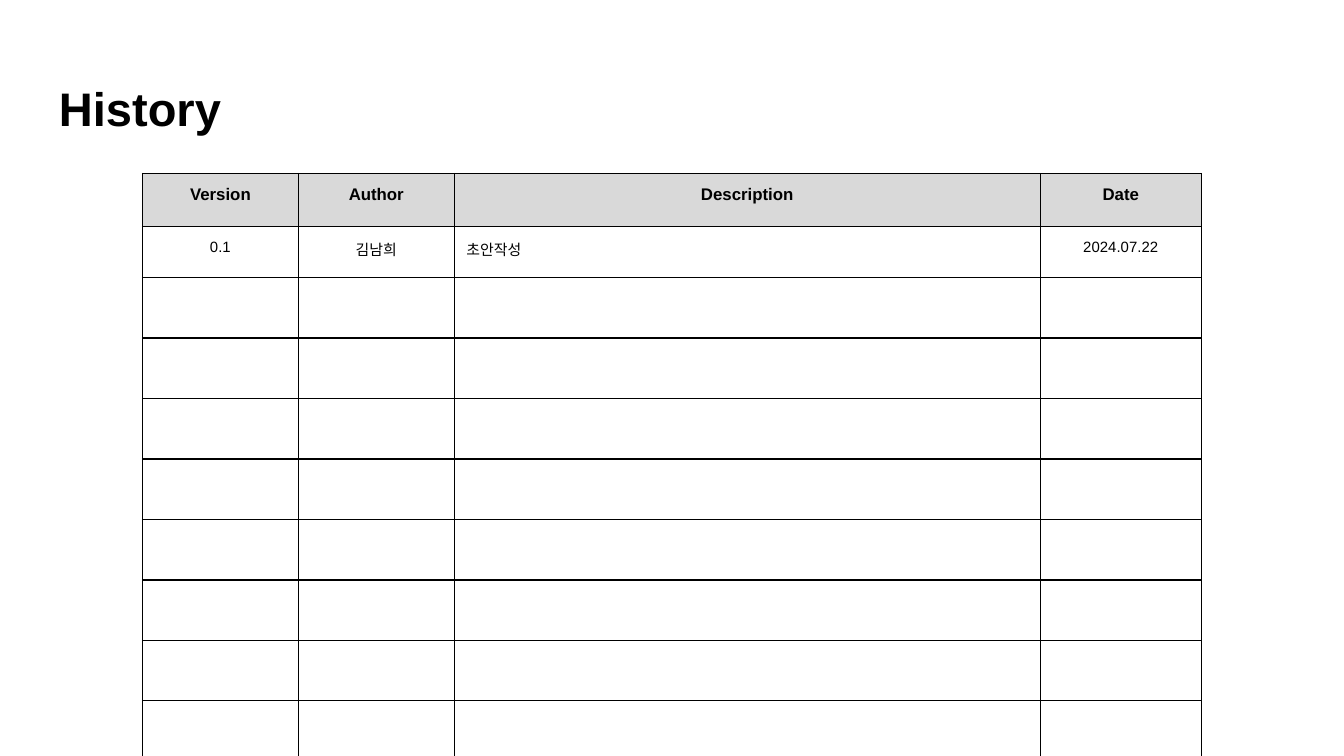
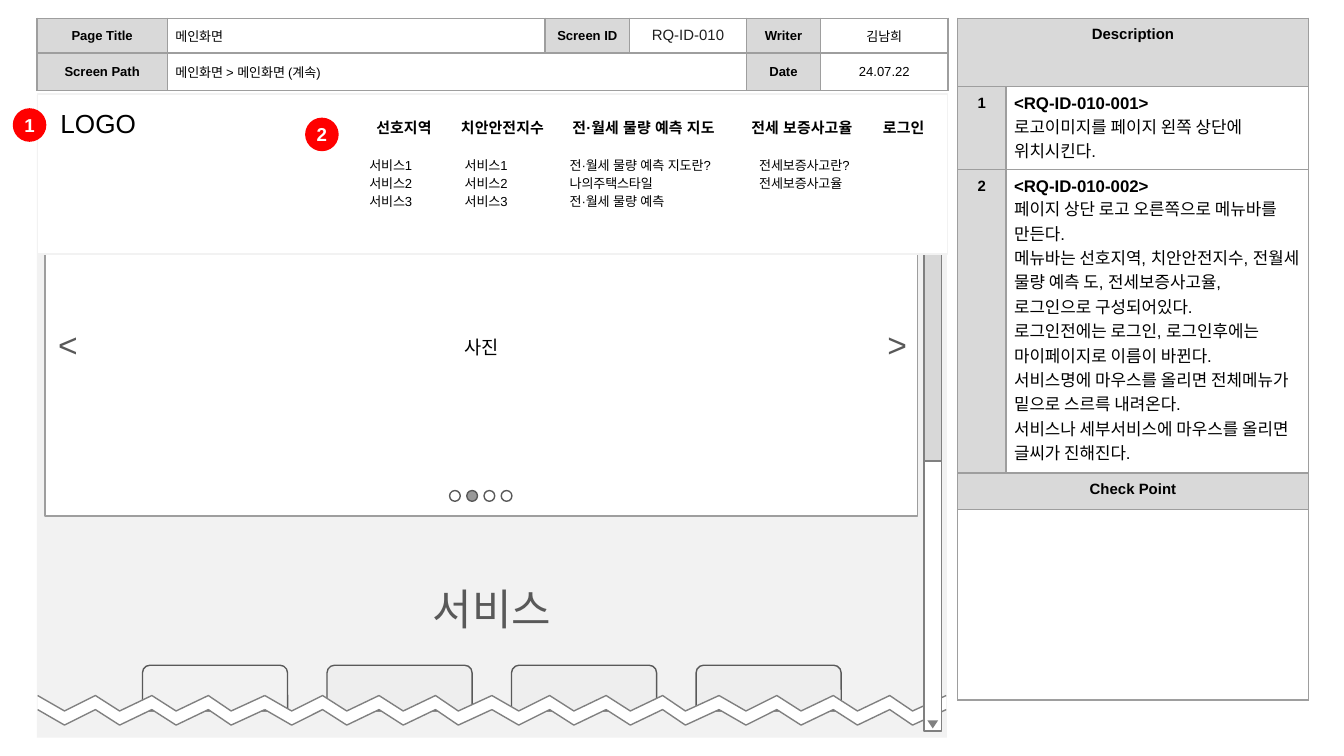
from itertools import product

from lxml.etree import SubElement
from pptx import Presentation
from pptx.dml.color import RGBColor
from pptx.enum.shapes import MSO_SHAPE
from pptx.enum.text import MSO_ANCHOR, PP_ALIGN
from pptx.oxml.ns import qn
from pptx.util import Inches, Pt

SLIDE_WIDTH = Inches(10)
SLIDE_HEIGHT = SLIDE_WIDTH * 9 // 16
GRID = SLIDE_WIDTH / 100
FONT = "Arial"
BLACK, WHITE, RED = "000000", "FFFFFF", "FF0000"
HEADER, PANEL, CARD, THUMB, ACTIVE_DOT = "D9D9D9", "F2F2F2", "EEEEEE", "D8D8D8", "999999"
INK, RULE, EDGE = "595959", "9E9E9E", "808080"
LEFT, CENTER = PP_ALIGN.LEFT, PP_ALIGN.CENTER
TOP, MIDDLE = MSO_ANCHOR.TOP, MSO_ANCHOR.MIDDLE
SIDES = ("left", "top", "right", "bottom")

HISTORY = [
    ["Version", "Author", "Description", "Date"],
    ["0.1", "김남희", "초안작성", "2024.07.22"],
]
SCREEN_INFO = [
    ["Page Title", "메인화면", "Screen ID", "RQ-ID-010", "Writer", "김남희"],
    ["Screen Path", "메인화면 > 메인화면 (계속)", "", "", "Date", "24.07.22"],
]
REQUIREMENTS = [
    ["<RQ-ID-010-001>", "로고이미지를 페이지 왼쪽 상단에 위치시킨다."],
    [
        "<RQ-ID-010-002>",
        "페이지 상단 로고 오른쪽으로 메뉴바를 만든다.",
        "메뉴바는 선호지역, 치안안전지수, 전월세 물량 예측 도, 전세보증사고율, 로그인으로 구성되어있다.",
        "로그인전에는 로그인, 로그인후에는 마이페이지로 이름이 바뀐다.",
        "서비스명에 마우스를 올리면 전체메뉴가 밑으로 스르륵 내려온다.",
        "서비스나 세부서비스에 마우스를 올리면 글씨가 진해진다.",
    ],
]
MENU_TABS = {
    "선호지역": 23.5,
    "치안안전지수": 29.8,
    "전·월세 물량 예측 지도": 38.1,
    "전세 보증사고율": 51.4,
    "로그인": 61.2,
}
SERVICES = ["서비스1", "서비스2", "서비스3"]
SUBMENUS = [
    (26.5, 7.4, SERVICES),
    (33.6, 7.4, SERVICES),
    (41.4, 18.1, ["전·월세 물량 예측 지도란?", "나의주택스타일", "전·월세 물량 예측"]),
    (55.5, 10.8, ["전세보증사고란?", "전세보증사고율"]),
]
WAVE_STEPS = [0, 2, 4.3, 6.1, 8.5, 10.3, 12.7, 14.4, 16.9]


def color(hex_code):
    """Turn a hex string into a colour."""
    return RGBColor.from_string(hex_code)


def grid(*units):
    """Turn grid units, each a hundredth of the slide width, into lengths."""
    return [round(unit * GRID) for unit in units]


def paint(target, fill):
    """Give a shape or cell a solid fill, or none."""
    if fill:
        target.fill.solid()
        target.fill.fore_color.rgb = color(fill)
    else:
        target.fill.background()


def outline(shape, ink):
    """Give a shape a thin outline, or none, and no shadow."""
    shape.shadow.inherit = False
    if ink:
        shape.line.color.rgb = color(ink)
        shape.line.width = Pt(0.75)
    else:
        shape.line.fill.background()


def add_run(paragraph, words, size, bold=False, ink=BLACK, hangul_font=None):
    """Append a formatted run to a paragraph."""
    run = paragraph.add_run()
    run.text = words
    for key, value in {"name": FONT, "size": Pt(size), "bold": bold}.items():
        setattr(run.font, key, value)
    run.font.color.rgb = color(ink)
    if hangul_font:
        SubElement(run._r.get_or_add_rPr(), qn("a:ea"), typeface=hangul_font)


def write(frame, lines, size, align=LEFT, spacing=None, **style):
    """Write one paragraph for each line."""
    for index, line in enumerate(lines):
        paragraph = frame.add_paragraph() if index else frame.paragraphs[0]
        for key, value in {"alignment": align, "line_spacing": spacing}.items():
            setattr(paragraph, key, value)
        add_run(paragraph, line, size, **style)


def set_margins(target, inset):
    """Set equal margins on a text frame or cell."""
    for side in SIDES:
        setattr(target, f"margin_{side}", grid(inset)[0])


def fill_frame(frame, lines, size, anchor, inset=1, **style):
    """Lay out a text frame and write its lines."""
    for key, value in {"word_wrap": True, "vertical_anchor": anchor}.items():
        setattr(frame, key, value)
    set_margins(frame, inset)
    write(frame, lines, size, hangul_font=FONT, **style)


def add_block(canvas, kind, place, fill=None, line=None):
    """Add a preset shape on the grid."""
    block = canvas.add_shape(kind, *grid(*place))
    paint(block, fill)
    outline(block, line)
    return block


def add_text(canvas, place, lines, size, anchor=TOP, **style):
    """Add a text box on the grid."""
    fill_frame(canvas.add_textbox(*grid(*place)).text_frame, lines, size, anchor, **style)


def set_borders(cell, ink):
    """Draw the four thin borders of a cell."""
    properties = cell._tc.get_or_add_tcPr()
    for side in "LRTB":
        border = SubElement(properties, qn(f"a:ln{side}"), w=str(Pt(0.75)))
        SubElement(SubElement(border, qn("a:solidFill")), qn("a:srgbClr"), val=ink)


def add_grid_table(slide, corner, columns, rows, ink, inset, anchor=TOP):
    """Add an unstyled table with borders and return it."""
    size = sum(columns), sum(rows)
    table = slide.shapes.add_table(len(rows), len(columns), *grid(*corner, *size)).table
    table.first_row = table.horz_banding = False
    for column, width in zip(table.columns, grid(*columns)):
        column.width = width
    for row, height in zip(table.rows, grid(*rows)):
        row.height = height
    for cell in table.iter_cells():
        set_borders(cell, ink)
        paint(cell, None)
        cell.vertical_anchor = anchor
        set_margins(cell, inset)
    return table


def add_heading(cell, words, size):
    """Write a grey heading cell."""
    paint(cell, HEADER)
    write(cell.text_frame, [words], size, bold=True, align=CENTER)


def build_history(slide):
    """Build the revision history slide."""
    add_text(slide.shapes, (3.4, 4.9, 93.2, 6.3), ["History"], 25.2, bold=True)
    table = add_grid_table(
        slide, (10.6, 12.9), [11.6, 11.6, 43.6, 12], [3.95] + [3.8] * 9, BLACK, 0.75
    )
    headings, entries = HISTORY
    for column, (heading, entry) in enumerate(zip(headings, entries)):
        for row in range(2):
            set_margins(table.cell(row, column), 0.9)
        add_heading(table.cell(0, column), heading, 9)
        align = LEFT if heading == "Description" else CENTER
        write(table.cell(1, column).text_frame, [entry], 8, align=align)


def add_requirements(slide):
    """Add the description table beside the screen."""
    table = add_grid_table(
        slide, (71.25, 1.35), [3.6, 22.5], [5.1, 6.15, 22.6, 2.7, 14.2], RULE, 0.6
    )
    for row in (0, 3, 4):
        table.cell(row, 0).merge(table.cell(row, 1))
    add_heading(table.cell(0, 0), "Description", 8)
    add_heading(table.cell(3, 0), "Check Point", 8)
    paint(table.cell(4, 0), WHITE)
    for number, (code, *details) in enumerate(REQUIREMENTS, 1):
        add_heading(table.cell(number, 0), str(number), 8)
        frame = table.cell(number, 1).text_frame
        write(frame, [code], 9, bold=True)
        for detail in details:
            add_run(frame.add_paragraph(), detail, 9)


def add_screen_info(slide):
    """Add the table that identifies the screen."""
    table = add_grid_table(
        slide, (2.75, 1.35), [9.7, 28.1, 6.3, 8.7, 5.5, 9.5], [2.6, 2.8], RULE, 0.6, MIDDLE
    )
    table.cell(1, 1).merge(table.cell(1, 3))
    for row, column in product(range(2), range(6)):
        cell, words = table.cell(row, column), SCREEN_INFO[row][column]
        if not words:
            continue
        if column % 2 == 0:
            add_heading(cell, words, 7)
        elif column == 3:
            write(cell.text_frame, [words], 8, ink="1F1F1F", align=CENTER)
        else:
            write(cell.text_frame, [words], 7, align=LEFT if column == 1 else CENTER)


def add_tear(canvas):
    """Add the zigzag strip that cuts the screen off."""
    for start in (2.8 + 16.9 * index for index in range(4)):
        upper, lower = (
            [grid(start + step, top + 1.15 * (i % 2)) for i, step in enumerate(WAVE_STEPS)]
            for top in (51.75, 52.8)
        )
        strip = canvas.build_freeform(*upper[0])
        strip.add_line_segments(upper[1:] + lower[::-1])
        edges = canvas.build_freeform(*upper[0])
        edges.add_line_segments(upper[1:], close=False)
        edges.move_to(*lower[0])
        edges.add_line_segments(lower[1:], close=False)
        for builder, fill, ink in ((strip, WHITE, None), (edges, None, EDGE)):
            shape = builder.convert_to_shape()
            paint(shape, fill)
            outline(shape, ink)


def add_scrollbar(slide):
    """Add the scroll track, its arrow and its thumb."""
    track = slide.shapes.add_group_shape().shapes
    add_block(track, MSO_SHAPE.RECTANGLE, (68.75, 13.3, 1.3, 41.1), WHITE, EDGE)
    arrow = add_block(track, MSO_SHAPE.ISOSCELES_TRIANGLE, (69, 53.6, 0.8, 0.6), EDGE)
    arrow.rotation = 180
    add_block(slide.shapes, MSO_SHAPE.RECTANGLE, (68.75, 16.1, 1.3, 18.2), THUMB, EDGE)


def add_carousel(canvas):
    """Add the photo area with its arrows and page dots."""
    photo = add_block(canvas, MSO_SHAPE.RECTANGLE, (3.35, 13.3, 64.9, 25.1), WHITE, RULE)
    fill_frame(photo.text_frame, ["사진"], 10, MIDDLE, align=CENTER)
    for left, sign in ((3.35, "<"), (65.05, ">")):
        add_text(canvas, (left, 23.9, 2.4, 3.4), [sign], 18, MIDDLE, ink=INK)
    for index in range(4):
        fill = ACTIVE_DOT if index == 1 else WHITE
        add_block(canvas, MSO_SHAPE.OVAL, (33.45 + 1.28 * index, 36.5, 0.8, 0.8), fill, INK)


def add_menu(canvas):
    """Add the menu bar and its opened submenus."""
    bar = add_block(canvas, MSO_SHAPE.RECTANGLE, (2.8, 7, 67.7, 11.9), WHITE, PANEL)
    fill_frame(bar.text_frame, ["LOGO"], 14, TOP)
    bar.text_frame.margin_left = grid(1.7)[0]
    line = bar.text_frame.paragraphs[0]
    stops = SubElement(line._p.get_or_add_pPr(), qn("a:tabLst"))
    for label, stop in MENU_TABS.items():
        SubElement(stops, qn("a:tab"), pos=str(grid(stop)[0]), algn="l")
        add_run(line, f"\t{label}", 8, bold=True, hangul_font=FONT)
    for left, width, entries in SUBMENUS:
        add_text(canvas, (left, 10.55, width, 7.3), entries, 7, spacing=1.15)


def add_marker(canvas, left, top, number):
    """Add a red numbered marker."""
    marker = add_block(canvas, MSO_SHAPE.OVAL, (left, top, 2.5, 2.5), RED)
    fill_frame(marker.text_frame, [number], 10, MIDDLE, 0, bold=True, ink=WHITE, align=CENTER)


def build_screen(slide):
    """Build the main screen specification slide."""
    canvas = slide.shapes
    add_block(canvas, MSO_SHAPE.RECTANGLE, (2.75, 7.1, 67.7, 47.8), PANEL)
    add_requirements(slide)
    add_screen_info(slide)
    for index in range(4):
        place = (10.6 + 13.73 * index, 49.5, 10.8, 3.4)
        add_block(canvas, MSO_SHAPE.ROUND_2_SAME_RECTANGLE, place, CARD if index else None, INK)
    add_tear(canvas.add_group_shape().shapes)
    add_text(canvas, (21.85, 41.6, 29.5, 7.3), ["서비스"], 23, MIDDLE, ink=INK, align=CENTER)
    add_scrollbar(slide)
    add_carousel(canvas.add_group_shape().shapes)
    add_menu(canvas)
    add_marker(canvas, 22.7, 8.75, "2")
    add_marker(canvas, 0.95, 8.05, "1")


def main():
    """Build and save the presentation."""
    deck = Presentation()
    deck.slide_width, deck.slide_height = SLIDE_WIDTH, SLIDE_HEIGHT
    for build in (build_history, build_screen):
        build(deck.slides.add_slide(deck.slide_layouts[6]))
    deck.save("out.pptx")


if __name__ == "__main__":
    main()
